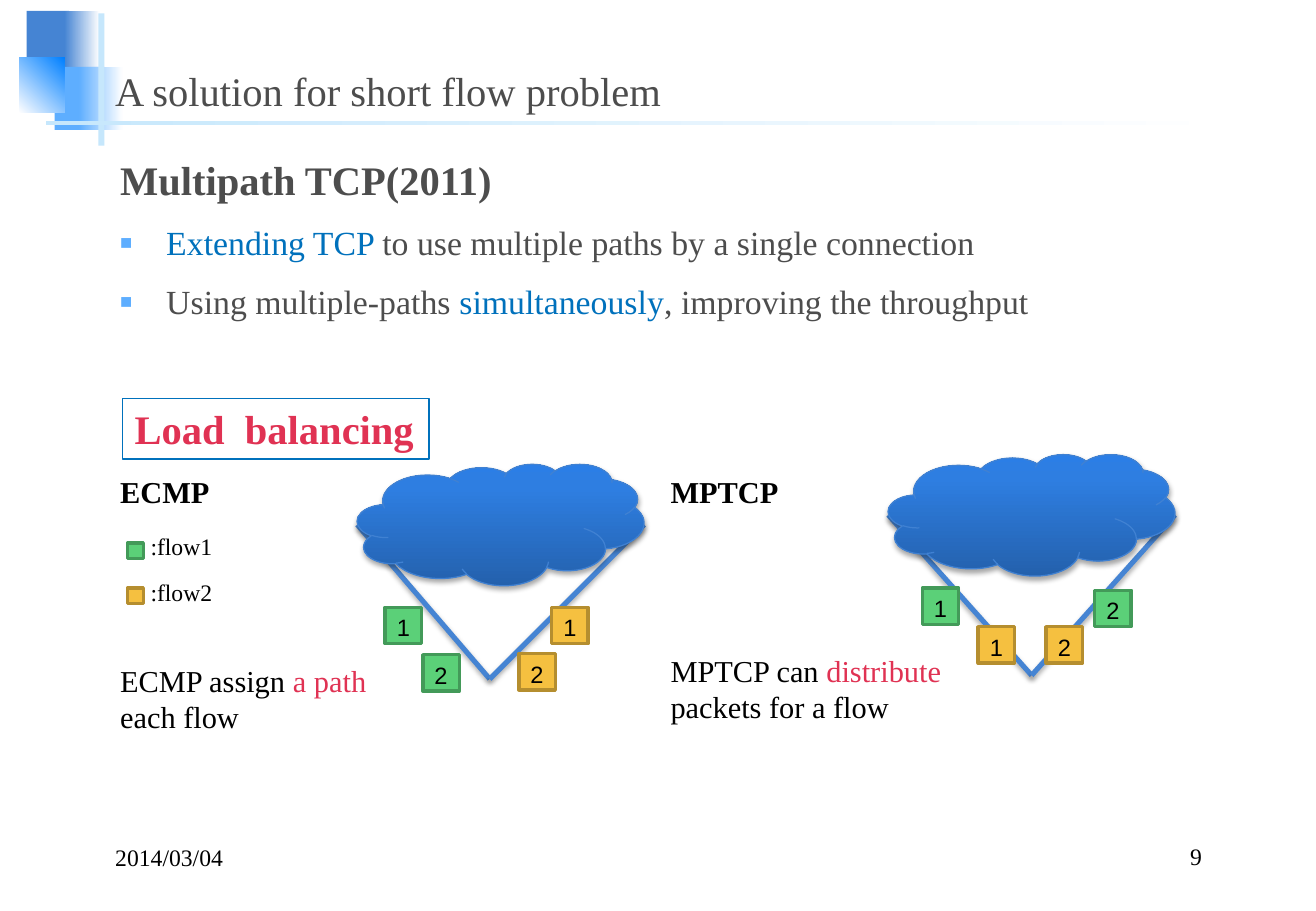
import copy

import pptx
import pptx.dml.color
import pptx.enum.shapes
import pptx.enum.text
import pptx.oxml
import pptx.util
from lxml import etree

THEME = {
    "serif": "Times New Roman", "sans": "Arial",
    "heading": 24, "body": 20, "label": 18, "small": 14,
    "grey": "4D4D4D", "black": "000000", "white": "FFFFFF", "red": "E03253",
    "blue": "0071BC", "mid": "4584D3", "light": "5EAEFF", "bright": "0080FF",
    "pale": "C6E7FC", "cloud_line": "4081D2",
    "cloud": [(0, "2461AD"), (0.8, "2E7EE1"), (1, "2B7EE6")],
    "green": ("5BD078", "439A59"), "amber": ("F5C040", "B58E2F"),
}
RGB = pptx.dml.color.RGBColor.from_string
PT = pptx.util.Pt
SHAPE = pptx.enum.shapes.MSO_SHAPE
ANCHOR = pptx.enum.text.MSO_ANCHOR
ALIGN = pptx.enum.text.PP_ALIGN
A = "http://schemas.openxmlformats.org/drawingml/2006/main"

# Grid of 10.83 columns by 7.5 rows, one inch to a cell
CELL = pptx.util.Inches(1)
prs = pptx.Presentation()
prs.slide_width, prs.slide_height = int(10.83 * CELL), int(7.5 * CELL)
s = prs.slides.add_slide(prs.slide_layouts[6])


def block(at, fill, angle=0, line=None, width=0.75, kind=SHAPE.RECTANGLE):
    """Add a shape; fill is a colour or a list of (position, colour) stops."""
    sp = s.shapes.add_shape(kind, *[int(v * CELL) for v in at])
    sp.shadow.inherit = False
    if isinstance(fill, str):
        sp.fill.solid()
        sp.fill.fore_color.rgb = RGB(fill)
    else:
        sp.fill.gradient()
        sp.fill.gradient_angle = angle
        stops = sp._element.spPr.find(f".//{{{A}}}gsLst")
        while len(stops) < len(fill):
            stops.append(copy.deepcopy(stops[-1]))
        for stop, (position, colour) in zip(sp.fill.gradient_stops, fill):
            stop.position, stop.color.rgb = position, RGB(colour)
    if line:
        sp.line.color.rgb = RGB(line)
        sp.line.width = PT(width)
    else:
        sp.line.fill.background()
    return sp


def write(p, runs, size, bold=False, font=THEME["serif"]):
    """Fill a paragraph with (text, colour) runs."""
    for text, colour in runs:
        r = p.add_run()
        r.text = text
        r.font.name, r.font.size, r.font.bold = font, PT(size), bold
        r.font.color.rgb = RGB(THEME[colour])


# Corner ornament and title rule
for at, fill, angle in [
    ((0.22, 0.09, 0.35, 0.52), THEME["mid"], 0),
    ((0.53, 0.09, 0.29, 0.52), [(0, THEME["mid"]), (1, THEME["white"])], 0),
    ((0.45, 0.55, 0.41, 0.52), THEME["light"], 0),
    ((0.65, 0.55, 0.36, 0.52), [(0, THEME["light"]), (1, THEME["white"])], 0),
    ((0.16, 0.47, 0.37, 0.46), [(0, THEME["white"]), (1, THEME["bright"])], 45),
    ((0.81, 0.11, 0.05, 1.09), THEME["pale"], 0),
    ((0.38, 1, 9.75, 0.03), [(0, THEME["pale"]), (1, THEME["white"])], 0),
]:
    block(at, fill, angle)

# Clouds, each with two paths meeting at one host
shadowed = []
for left, top, host_x, host_y in [(2.94, 3.82, 4.03, 5.59), (7.31, 3.74, 8.49, 5.56)]:
    for end_x in (left, left + 2.36):
        ends = [int(v * CELL) for v in (host_x, host_y, end_x, top + 0.5)]
        path_line = s.shapes.add_connector(pptx.enum.shapes.MSO_CONNECTOR.STRAIGHT, *ends)
        path_line.line.color.rgb = RGB(THEME["mid"])
        path_line.line.width = PT(3)
        etree.SubElement(path_line._element.spPr, f"{{{A}}}effectLst")
        shadowed.append(path_line)
    shadowed.append(block((left, top, 2.36, 1), THEME["cloud"], 90,
                          THEME["cloud_line"], kind=SHAPE.CLOUD))
for sp in shadowed:
    sp._element.spPr.find(f"{{{A}}}effectLst").append(pptx.oxml.parse_xml(
        f'<a:outerShdw xmlns:a="{A}" blurRad="40000" dist="23000" dir="5400000" '
        'rotWithShape="0"><a:srgbClr val="000000"><a:alpha val="35000"/>'
        '</a:srgbClr></a:outerShdw>'))

# Packets, coloured by flow
for x, y, flow, number in [
    (3.17, 5, "green", "1"), (3.48, 5.39, "green", "2"),
    (4.54, 5, "amber", "1"), (4.27, 5.38, "amber", "2"),
    (7.59, 4.84, "green", "1"), (9.01, 4.86, "green", "2"),
    (8.05, 5.16, "amber", "1"), (8.61, 5.16, "amber", "2"),
]:
    fill, line = THEME[flow]
    tf = block((x, y, 0.3, 0.3), fill, line=line, width=2).text_frame
    tf.vertical_anchor = ANCHOR.TOP
    tf.word_wrap = False
    tf.paragraphs[0].alignment = ALIGN.CENTER
    write(tf.paragraphs[0], [(number, "black")], THEME["small"], font=THEME["sans"])

# Legend keys
for row, flow in enumerate(("green", "amber")):
    fill, line = THEME[flow]
    block((1.05, 4.47 + 0.37 * row, 0.13, 0.13), fill, line=line, width=2)

# Single-paragraph texts
for at, runs, size, bold, wrap, anchor, align in [
    ((0.85, 0.36, 9.29, 0.63), [("A solution for short flow problem", "grey")],
     "heading", False, True, ANCHOR.BOTTOM, ALIGN.LEFT),
    ((0.85, 6.9, 2.26, 0.32), [("2014/03/04", "black")],
     "small", False, True, ANCHOR.BOTTOM, ALIGN.LEFT),
    ((7.73, 6.9, 2.26, 0.31), [("9", "black")],
     "small", False, True, ANCHOR.BOTTOM, ALIGN.RIGHT),
    ((1.14, 4.33, 0.71, 0.34), [(":flow1", "black")],
     "small", False, False, ANCHOR.TOP, ALIGN.LEFT),
    ((1.14, 4.71, 0.71, 0.34), [(":flow2", "black")],
     "small", False, False, ANCHOR.TOP, ALIGN.LEFT),
    ((0.89, 3.85, 0.95, 0.4), [("ECMP", "black")],
     "label", True, False, ANCHOR.TOP, ALIGN.LEFT),
    ((5.42, 3.85, 1.1, 0.4), [("MPTCP", "black")],
     "label", True, False, ANCHOR.TOP, ALIGN.LEFT),
    ((0.89, 5.4, 2.59, 0.71),
     [("ECMP assign ", "black"), ("a path", "red"), (" each flow", "black")],
     "label", False, True, ANCHOR.TOP, ALIGN.LEFT),
    ((5.42, 5.32, 2.48, 0.71),
     [("MPTCP can ", "black"), ("distribute", "red"), (" packets for a flow", "black")],
     "label", False, True, ANCHOR.TOP, ALIGN.LEFT),
]:
    tf = s.shapes.add_textbox(*[int(v * CELL) for v in at]).text_frame
    tf.word_wrap, tf.vertical_anchor = wrap, anchor
    tf.paragraphs[0].alignment = align
    write(tf.paragraphs[0], runs, THEME[size], bold)

# Framed subheading
tf = block((1.01, 3.28, 2.52, 0.5), THEME["white"], line=THEME["blue"]).text_frame
tf.word_wrap, tf.vertical_anchor = False, ANCHOR.TOP
tf.paragraphs[0].alignment = ALIGN.LEFT
write(tf.paragraphs[0], [("Load  balancing", "red")], THEME["heading"], True)

# Heading and bullets
tf = s.shapes.add_textbox(*[int(v * CELL) for v in (0.89, 1.15, 9.06, 2.48)]).text_frame
tf.word_wrap = True
p = tf.paragraphs[0]
p.line_spacing = 1.2
write(p, [("Multipath TCP(2011)", "grey")], THEME["heading"], True)
for runs in [
    [("Extending TCP ", "blue"), ("to use multiple paths by a single connection", "grey")],
    [("Using multiple-paths ", "grey"), ("simultaneously", "blue"),
     (", improving the throughput", "grey")],
]:
    p = tf.add_paragraph()
    pPr = p._p.get_or_add_pPr()
    pPr.set("marL", str(int(0.38 * CELL)))
    pPr.set("indent", str(int(-0.38 * CELL)))
    for bullet in (
        f'<a:buClr xmlns:a="{A}"><a:srgbClr val="{THEME["light"]}"/></a:buClr>',
        f'<a:buSzPct xmlns:a="{A}" val="60000"/>',
        f'<a:buFont xmlns:a="{A}" typeface="{THEME["sans"]}"/>',
        f'<a:buChar xmlns:a="{A}" char="■"/>',
    ):
        pPr.append(pptx.oxml.parse_xml(bullet))
    p.line_spacing, p.space_before = 1.2, PT(6)
    write(p, runs, THEME["body"])

prs.save("out.pptx")
